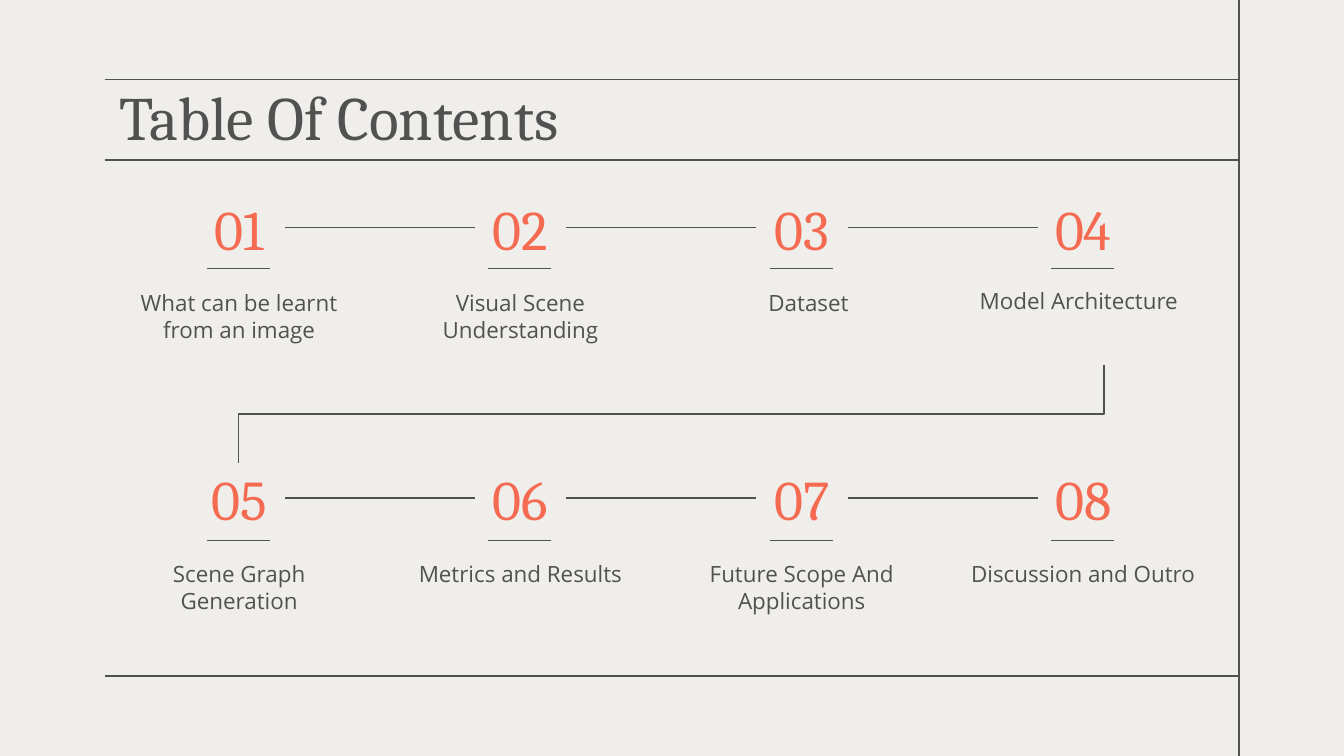
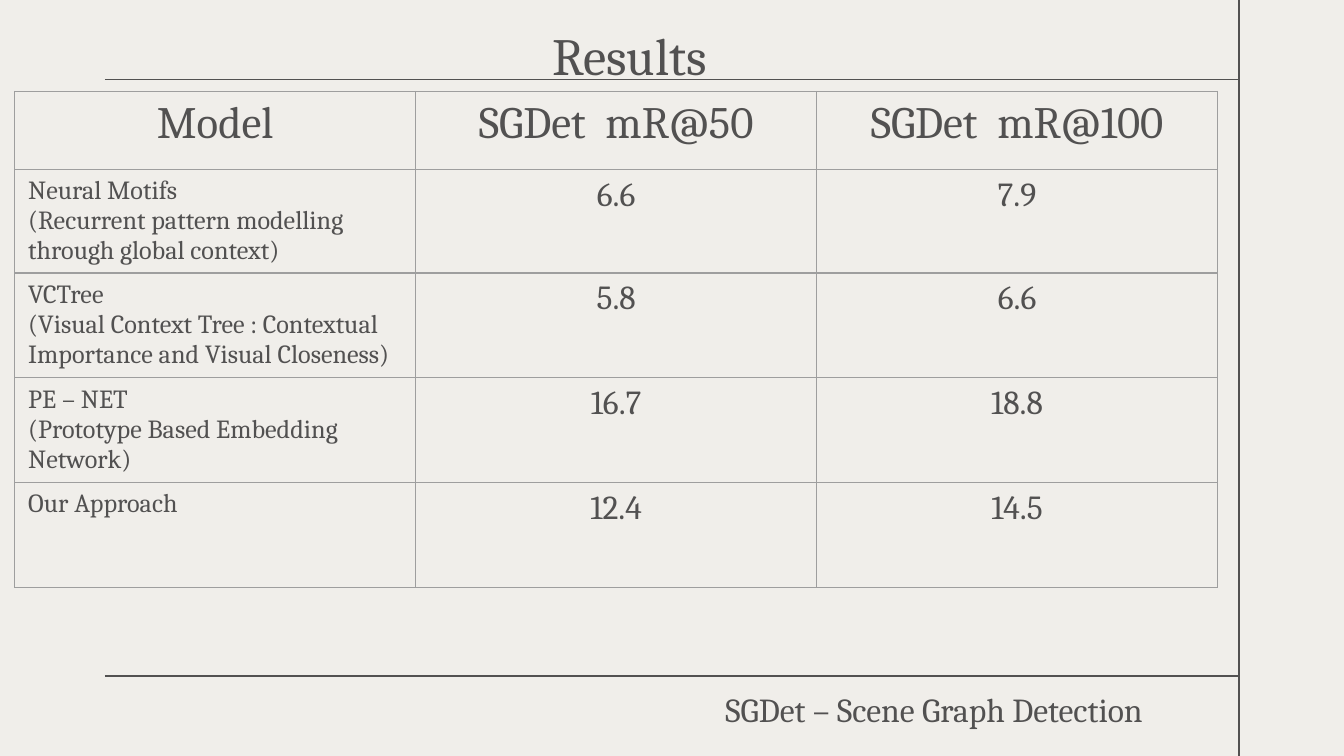
from typing import NamedTuple

from lxml import etree
from pptx import Presentation
from pptx.dml.color import RGBColor
from pptx.enum import shapes, text
from pptx.oxml import ns
from pptx.util import Inches, Pt

INK = RGBColor(0x52, 0x51, 0x51)
CORAL = RGBColor(0xF4, 0x6B, 0x52)
PAPER = RGBColor(0xF0, 0xEE, 0xEA)
GRID = "9E9E9E"
SERIF, SANS = "Cambria", "Open Sans"
LEFT, RIGHT = 0.78, 9.22
CENTER = text.PP_ALIGN.CENTER
START = text.PP_ALIGN.LEFT
STRAIGHT = shapes.MSO_CONNECTOR.STRAIGHT


class Box(NamedTuple):
    x: float
    y: float
    w: float
    h: float

    def inches(self) -> list:
        return [Inches(v) for v in self]


class Style(NamedTuple):
    size: int
    font: str = SERIF
    color: RGBColor = INK
    align: text.PP_ALIGN = START


class Topic(NamedTuple):
    label: str
    dx: float = 0
    dy: float = 0
    align: text.PP_ALIGN = CENTER


class Row(NamedTuple):
    top: float
    rule: float
    topics: list


STEP = (7.72 - 1.44) / 3
COLUMNS = [1.44 + STEP * i for i in range(4)]
NUMBER = Style(30, SERIF, CORAL, CENTER)
ROWS = [
    Row(1.43, 2.0, [
        Topic("What can be learnt from an image"),
        Topic("Visual Scene Understanding"),
        Topic("Dataset", dx=0.05),
        Topic("Model Architecture", 0.15, -0.01, START),
    ]),
    Row(3.44, 4.02, [
        Topic("Scene Graph Generation"),
        Topic("Metrics and Results"),
        Topic("Future Scope And Applications"),
        Topic("Discussion and Outro"),
    ]),
]
RESULTS = [
    ("Model", "SGDet  mR@50", "SGDet  mR@100"),
    ("Neural Motifs\n(Recurrent pattern modelling through global context)", "6.6", "7.9"),
    ("VCTree\n(Visual Context Tree : Contextual Importance and Visual Closeness)",
     "5.8", "6.6"),
    ("PE – NET\n(Prototype Based Embedding Network)", "16.7", "18.8"),
    ("Our Approach", "12.4", "14.5"),
]
HEIGHTS = [0.58, 0.74, 0.78, 0.78, 0.78]


def write(frame, words: str, style: Style) -> None:
    frame.text = words
    for par in frame.paragraphs:
        par.alignment = style.align
        par.font.size = Pt(style.size)
        par.font.name = style.font
        par.font.color.rgb = style.color


def inset(frame, left: float, top: float, right: float, bottom: float) -> None:
    frame.margin_left, frame.margin_top = Inches(left), Inches(top)
    frame.margin_right, frame.margin_bottom = Inches(right), Inches(bottom)


def label(slide, box: Box, words: str, style: Style):
    shape = slide.shapes.add_textbox(*box.inches())
    shape.text_frame.word_wrap = True
    write(shape.text_frame, words, style)
    return shape


def line(slide, x1: float, y1: float, x2: float, y2: float, kind=STRAIGHT):
    link = slide.shapes.add_connector(kind, *[Inches(v) for v in (x1, y1, x2, y2)])
    link.line.color.rgb = INK
    link.line.width = Pt(0.75)
    etree.SubElement(link._element.spPr, ns.qn("a:effectLst"))
    return link


def title(slide, box: Box, words: str, style: Style, top: float, right: float) -> None:
    shape = slide.shapes.title
    shape.left, shape.top, shape.width, shape.height = box.inches()
    frame = shape.text_frame
    frame.auto_size = text.MSO_AUTO_SIZE.NONE
    frame.vertical_anchor = text.MSO_ANCHOR.TOP
    inset(frame, 0.1, top, right, 0.1)
    write(frame, words, style)


def dress(layout, slide) -> None:
    """Give the layout its background and frame lines, drawn by way of a slide."""
    layout.background.fill.solid()
    layout.background.fill.fore_color.rgb = PAPER
    for ends in ((LEFT, 0.59, RIGHT, 0.59), (RIGHT, -0.01, RIGHT, 5.63),
                 (LEFT, 5.03, RIGHT, 5.03)):
        layout.shapes._spTree.append(line(slide, *ends)._element)


def edge(cell) -> None:
    """Draw the four borders of a cell."""
    props = cell._tc.get_or_add_tcPr()
    for i, side in enumerate(("lnL", "lnR", "lnT", "lnB")):
        rule = etree.Element(ns.qn(f"a:{side}"), w=str(Pt(0.75)))
        fill = etree.SubElement(rule, ns.qn("a:solidFill"))
        etree.SubElement(fill, ns.qn("a:srgbClr"), val=GRID)
        props.insert(i, rule)


def contents(slide) -> None:
    title(slide, Box(0.79, 0.59, 8.43, 0.53), "Table Of Contents", Style(33), 0, 0.1)
    line(slide, LEFT, 1.19, RIGHT, 1.19)
    count = 0
    for row in ROWS:
        last = None
        for x, topic in zip(COLUMNS, row.topics):
            count += 1
            number = label(slide, Box(x, row.top, 0.68, 0.53), f"{count:02}", NUMBER)
            number.text_frame.vertical_anchor = text.MSO_ANCHOR.MIDDLE
            inset(number.text_frame, 0.1, 0.1, 0.1, 0.1)
            line(slide, x + 0.1, row.rule, x + 0.57, row.rule)
            place = Box(x - 0.66 + topic.dx, row.rule + 0.05 + topic.dy, 2, 0.67)
            name = label(slide, place, topic.label, Style(12, SANS, INK, topic.align))
            inset(name.text_frame, 0.08, 0.1, 0.08, 0.1)
            if last is not None:
                link = line(slide, x - 1.41, row.top, x, row.top)
                link.begin_connect(last, 3)
                link.end_connect(number, 1)
            last = number
    bend = line(slide, 4.63, -0.14, 5.36, 6.3, shapes.MSO_CONNECTOR.ELBOW)
    bend._element.spPr.find(ns.qn("a:xfrm")).set("rot", "5400000")


def results(slide) -> None:
    title(slide, Box(0.52, 0, 8.43, 0.53), "Results", Style(28, align=CENTER), 0.17, 0.2)
    place = Box(0.11, 0.68, 8.95, sum(HEIGHTS))
    table = slide.shapes.add_table(len(RESULTS), 3, *place.inches()).table
    table.first_row = table.horz_banding = False
    for column in table.columns:
        column.width = Inches(place.w / 3)
    for r, (height, values) in enumerate(zip(HEIGHTS, RESULTS)):
        table.rows[r].height = Inches(height)
        for c, words in enumerate(values):
            cell = table.cell(r, c)
            cell.fill.background()
            edge(cell)
            size = 24 if r == 0 else 18 if c else 14
            align = START if r and c == 0 else CENTER
            write(cell.text_frame, words, Style(size, align=align))
    note = label(slide, Box(5.3, 5.08, 3.76, 0.4), "SGDet – Scene Graph Detection", Style(18))
    note.text_frame.auto_size = text.MSO_AUTO_SIZE.SHAPE_TO_FIT_TEXT


def main() -> None:
    deck = Presentation()
    deck.slide_width = Inches(10)
    deck.slide_height = deck.slide_width * 9 // 16
    layout = deck.slide_layouts.get_by_name("Title Only")
    first, second = [deck.slides.add_slide(layout) for _ in range(2)]
    dress(layout, first)
    contents(first)
    results(second)
    deck.save("out.pptx")


if __name__ == "__main__":
    main()
